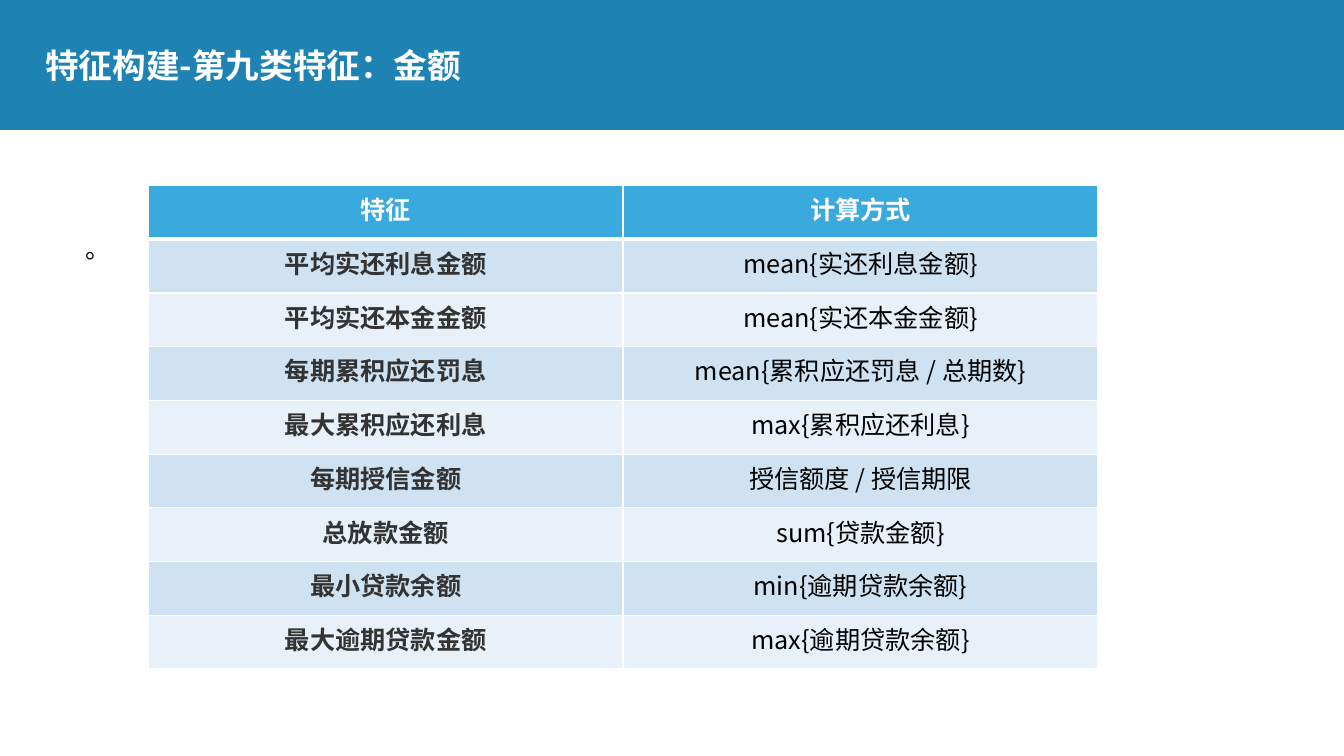
from lxml import etree
from pptx import Presentation
from pptx.dml.color import RGBColor
from pptx.enum.shapes import MSO_SHAPE
from pptx.enum.text import MSO_ANCHOR, MSO_AUTO_SIZE, PP_ALIGN
from pptx.oxml.ns import qn
from pptx.util import Inches, Pt

RECT = MSO_SHAPE.RECTANGLE
MIDDLE = MSO_ANCHOR.MIDDLE
FIXED = MSO_AUTO_SIZE.NONE
LEFT, CENTER = PP_ALIGN.LEFT, PP_ALIGN.CENTER
FONT = "Noto Sans CJK SC"
WIDE, HIGH = 13.33, 7.5
BLUE, WHITE, BLACK, GRAY = "1E83B3", "FFFFFF", "000000", "333333"
HEAD, BANDS = "39A9DE", ("E8F1F9", "CEE2F2")
ROWS = [
    ("特征", "计算方式"),
    ("平均实还利息金额", "mean{实还利息金额}"),
    ("平均实还本金金额", "mean{实还本金金额}"),
    ("每期累积应还罚息", "mean{累积应还罚息 / 总期数}"),
    ("最大累积应还利息", "max{累积应还利息}"),
    ("每期授信金额", "授信额度 / 授信期限"),
    ("总放款金额", "sum{贷款金额}"),
    ("最小贷款余额", "min{逾期贷款余额}"),
    ("最大逾期贷款金额", "max{逾期贷款余额}"),
]


def color(code):
    return RGBColor.from_string(code)


def paint(fill, code):
    fill.solid()
    fill.fore_color.rgb = color(code)


def write(frame, text, size, code, bold=False, **style):
    para = frame.paragraphs[0]
    for name, value in style.items():
        setattr(para, name, value)
    run = para.add_run()
    run.text = text
    for name, value in {"name": FONT, "size": Pt(size), "bold": bold}.items():
        setattr(run.font, name, value)
    run.font.color.rgb = color(code)
    etree.SubElement(run.font._element, qn("a:ea"), typeface=FONT)


def setup(frame):
    for name, value in {"word_wrap": True, "auto_size": FIXED,
                        "vertical_anchor": MIDDLE}.items():
        setattr(frame, name, value)


def place(shape, box):
    for name, value in zip(("left", "top", "width", "height"), box):
        setattr(shape, name, Inches(value))


def border(cell, base):
    props = cell._tc.get_or_add_tcPr()
    sides = {"lnL": 1, "lnR": 1, "lnT": 1, "lnB": base}
    for spot, (side, width) in enumerate(sides.items()):
        line = etree.Element(qn("a:" + side), w=str(Pt(width)))
        fill = etree.SubElement(line, qn("a:solidFill"))
        etree.SubElement(fill, qn("a:srgbClr"), val=WHITE)
        props.insert(spot, line)


def panel(slide, box):
    shape = slide.shapes.add_shape(RECT, *map(Inches, box))
    shape.shadow.inherit = False
    paint(shape.fill, WHITE)
    shape.line.fill.background()


def title(slide, box):
    shape = slide.shapes.title
    place(shape, box)
    setup(shape.text_frame)
    write(shape.text_frame, "特征构建-第九类特征：金额", 24, WHITE, True,
          alignment=LEFT, line_spacing=0.9, space_before=Pt(10))


def note(slide, box):
    shape = slide.shapes.add_textbox(*map(Inches, box))
    setup(shape.text_frame)
    write(shape.text_frame, "。", 18, BLACK, line_spacing=1.5)


def grid(slide, box):
    count = len(ROWS)
    table = slide.shapes.add_table(count, 2, *map(Inches, box)).table
    for col in table.columns:
        col.width = Inches(box[2] / 2)
    for row in table.rows:
        row.height = Inches(box[3] / count)
    for i, row in enumerate(ROWS):
        for j, text in enumerate(row):
            cell = table.cell(i, j)
            paint(cell.fill, BANDS[i % 2] if i else HEAD)
            border(cell, 1 if i else 3)
            ink = (GRAY, BLACK)[j] if i else WHITE
            write(cell.text_frame, text, 18, ink, i == 0 or j == 0,
                  alignment=CENTER)


def main():
    deck = Presentation()
    deck.slide_width, deck.slide_height = Inches(WIDE), Inches(HIGH)
    slide = deck.slides.add_slide(deck.slide_layouts[5])
    paint(slide.background.fill, BLUE)
    panel(slide, (0, 1.29, WIDE, HIGH - 1.29))
    title(slide, (0.35, 0.28, 7.27, 0.79))
    note(slide, (0.75, 2.15, 10.87, 0.48))
    grid(slide, (1.47, 1.84, 9.42, 4.8))
    deck.save("out.pptx")


if __name__ == "__main__":
    main()
